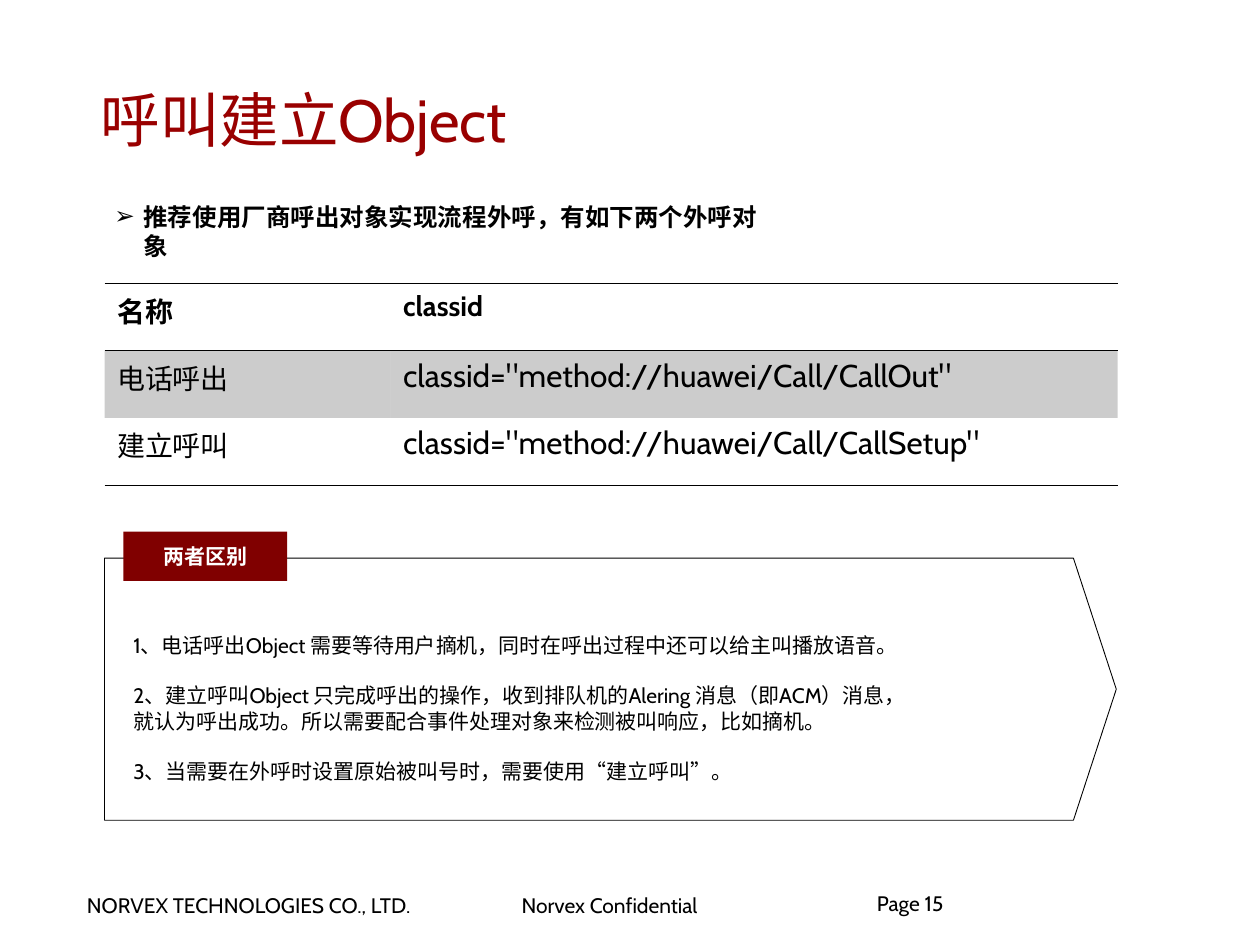
import pptx
import pptx.util
import pptx.dml.color
import pptx.enum.shapes
import pptx.enum.text
import pptx.oxml
import pptx.oxml.ns
from dataclasses import dataclass

Inches = pptx.util.Inches
Pt = pptx.util.Pt
Anchor = pptx.enum.text.MSO_ANCHOR


@dataclass(frozen=True)
class Theme:
    font: str = "Cabin"
    tag_font: str = "Arial"
    ink: str = "000000"
    title: str = "990000"
    tag: str = "800000"
    white: str = "FFFFFF"
    shade: int = 20
    rule: float = 0.45
    edge: float = 0.5
    title_size: int = 34
    class_size: int = 18
    cell_size: int = 16
    lead_size: int = 14
    body_size: int = 12


THEME = Theme()
LEFT, WIDTH = 0.83, 8.03

ROWS = [
    ("名称", "classid"),
    ("电话呼出", 'classid="method://huawei/Call/CallOut"'),
    ("建立呼叫", 'classid="method://huawei/Call/CallSetup"'),
]

# Each note is a list of lines; a gap separates the notes.
NOTES = [
    ["1、电话呼出Object 需要等待用户摘机，同时在呼出过程中还可以给主叫播放语音。"],
    ["2、建立呼叫Object 只完成呼出的操作，收到排队机的Alering 消息（即ACM）消息，",
     "就认为呼出成功。所以需要配合事件处理对象来检测被叫响应，比如摘机。"],
    ["3、当需要在外呼时设置原始被叫号时，需要使用“建立呼叫”。"],
]


def color(code):
    return pptx.dml.color.RGBColor.from_string(code)


def element(xml):
    return pptx.oxml.parse_xml(xml.replace(" ", f" {pptx.oxml.ns.nsdecls('a')} ", 1))


def add_run(para, text, size, code=THEME.ink, bold=False, font=THEME.font):
    run = para.add_run()
    run.text = text
    run.font.size = Pt(size)
    run.font.name = font
    run.font.bold = bold
    run.font.color.rgb = color(code)


def set_frame(frame, pad=(0, 0), anchor=Anchor.TOP, wrap=True):
    side, end = (Inches(value) for value in pad)
    frame.margin_left = frame.margin_right = side
    frame.margin_top = frame.margin_bottom = end
    frame.vertical_anchor = anchor
    frame.word_wrap = wrap


def add_text(slide, box, text, size, code=THEME.ink, bold=False, **style):
    frame = slide.shapes.add_textbox(*map(Inches, box)).text_frame
    set_frame(frame, **style)
    para = frame.paragraphs[0]
    add_run(para, text, size, code, bold)
    return para


def add_lead(slide):
    para = add_text(slide, (0.81, 1.55, 5.42, 0.58),
                    "推荐使用厂商呼出对象实现流程外呼，有如下两个外呼对象",
                    THEME.lead_size, bold=True, pad=(0.1, 0.05))
    props = para._p.get_or_add_pPr()
    props.set("marL", str(Inches(0.23)))
    props.set("indent", str(-Inches(0.23)))
    props.append(element(f'<a:buClr ><a:srgbClr val="{THEME.ink}"/></a:buClr>'))
    props.append(element('<a:buFont typeface="Arial"/>'))
    props.append(element('<a:buChar char="➢"/>'))


def set_sides(cell, lines):
    """Rule the sides named in lines and clear the others."""
    props = cell._tc.get_or_add_tcPr()
    for spot, side in enumerate("LRTB"):
        if side in lines:
            xml = (f'<a:ln{side} w="{Pt(THEME.rule)}"><a:solidFill>'
                   f'<a:srgbClr val="{THEME.ink}"/></a:solidFill></a:ln{side}>')
        else:
            xml = f'<a:ln{side} w="0"><a:noFill/></a:ln{side}>'
        props.insert(spot, element(xml))


def set_shade(cell):
    cell.fill.solid()
    cell.fill.fore_color.rgb = color(THEME.ink)
    tone = cell._tc.tcPr.find(".//" + pptx.oxml.ns.qn("a:srgbClr"))
    tone.append(element(f'<a:alpha val="{THEME.shade * 1000}"/>'))


def add_grid(slide):
    box = map(Inches, (LEFT, 2.25, WIDTH, 1.6))
    table = slide.shapes.add_table(len(ROWS), 2, *box).table
    table.first_row = table.horz_banding = False
    for col, width in zip(table.columns, (2.27, 5.77)):
        col.width = Inches(width)
    sides = ("TB", "T", "B")
    for r, texts in enumerate(ROWS):
        for c, text in enumerate(texts):
            cell = table.cell(r, c)
            cell.margin_left = cell.margin_right = Inches(0.1)
            cell.margin_top = cell.margin_bottom = Inches(0.05)
            size = THEME.class_size if r and c else THEME.cell_size
            add_run(cell.text_frame.paragraphs[0], text, size, bold=r == 0)
            if r == 1:
                set_shade(cell)
            else:
                cell.fill.background()
            set_sides(cell, sides[r])


def add_panel(slide):
    top, base, neck, tip = 4.43, 6.51, 8.52, LEFT + WIDTH
    points = [(neck, top), (tip, (top + base) / 2), (neck, base), (LEFT, base)]
    build = slide.shapes.build_freeform(Inches(LEFT), Inches(top))
    build.add_line_segments([(Inches(x), Inches(y)) for x, y in points])
    panel = build.convert_to_shape()
    panel.shadow.inherit = False
    panel.fill.background()
    panel.line.color.rgb = color(THEME.ink)
    panel.line.width = Pt(THEME.edge)


def add_notes(slide):
    box = map(Inches, (1.06, 5.02, 6.9, 1.2))
    frame = slide.shapes.add_textbox(*box).text_frame
    set_frame(frame, anchor=Anchor.MIDDLE)
    for n, note in enumerate(NOTES):
        for k, line in enumerate(note):
            first = n == k == 0
            para = frame.paragraphs[0] if first else frame.add_paragraph()
            if n and k == 0:
                para.space_before = Pt(14.4)
            add_run(para, line, THEME.body_size)


def add_tag(slide):
    kind = pptx.enum.shapes.MSO_SHAPE.RECTANGLE
    tag = slide.shapes.add_shape(kind, *map(Inches, (0.98, 4.22, 1.3, 0.39)))
    tag.shadow.inherit = False
    tag.fill.solid()
    tag.fill.fore_color.rgb = color(THEME.tag)
    tag.line.fill.background()
    set_frame(tag.text_frame, anchor=Anchor.MIDDLE)
    para = tag.text_frame.paragraphs[0]
    para.alignment = pptx.enum.text.PP_ALIGN.CENTER
    add_run(para, "两者区别", THEME.body_size, THEME.white, True, THEME.tag_font)


def add_foot(slide):
    for left, width, text in ((0.6, 3.09, "NORVEX TECHNOLOGIES CO., LTD."),
                              (4.05, 2.18, "Norvex Confidential")):
        add_text(slide, (left, 7.04, width, 0.29), text, THEME.body_size,
                 pad=(0.09, 0.04), wrap=False)
    page = add_text(slide, (6.96, 7.1, 2.29, 0.5), "Page 15", THEME.body_size)
    page.line_spacing = 0.85


def main():
    deck = pptx.Presentation()
    deck.slide_width, deck.slide_height = Inches(10), Inches(7.5)
    slide = deck.slides.add_slide(deck.slide_layouts[6])
    add_foot(slide)
    add_text(slide, (0.71, 0.47, 8.47, 0.95), "呼叫建立Object", THEME.title_size,
             THEME.title, pad=(0.09, 0.04), anchor=Anchor.MIDDLE)
    add_grid(slide)
    add_lead(slide)
    add_panel(slide)
    add_notes(slide)
    add_tag(slide)
    deck.save("out.pptx")


if __name__ == "__main__":
    main()
